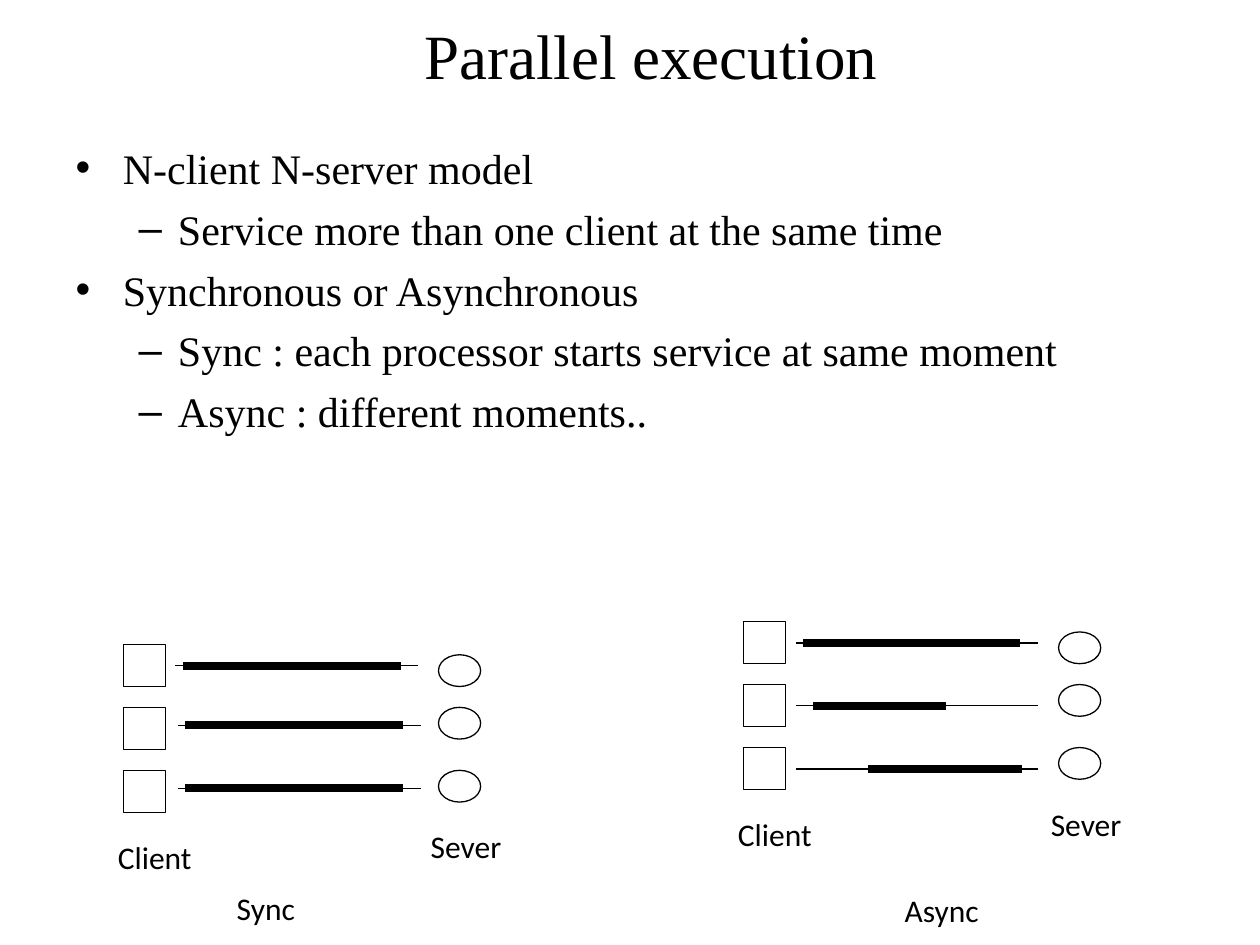
import pptx
import pptx.dml.color
import pptx.enum.shapes
import pptx.enum.text
import pptx.oxml.ns
import pptx.util
from lxml import etree

Cm, Pt = pptx.util.Cm, pptx.util.Pt
Shape = pptx.enum.shapes.MSO_SHAPE
BLACK = "000000"
SERIF, SANS = "Times New Roman", "Calibri"
PITCH = 1.27  # vertical distance between client rows, in cm

BULLETS = [
    (0, "N-client N-server model"),
    (1, "Service more than one client at the same time"),
    (0, "Synchronous or Asynchronous"),
    (1, "Sync : each processor starts service at same moment"),
    (1, "Async : different moments.."),
]

# Each row, relative to its diagram: line start, line height, busy from, busy to
SYNC_ROWS = [(1.06, 0.43, 1.27, 5.51), (1.12, 1.63, 1.32, 5.56), (1.12, 2.9, 1.32, 5.56)]
ASYNC_ROWS = [(1.06, 0.43, 1.27, 5.49), (1.06, 1.7, 1.47, 4.01), (1.06, 2.97, 2.59, 5.54)]


def color(value):
    return pptx.dml.color.RGBColor.from_string(value)


def format_para(para, font, size, space_before):
    para.space_before = Pt(space_before)
    for run in para.runs:
        run.font.name = font
        run.font.size = Pt(size)
        run.font.color.rgb = color(BLACK)


def place(shape, left, top, width, height):
    shape.left, shape.top = Cm(left), Cm(top)
    shape.width, shape.height = Cm(width), Cm(height)


def fill_title(title):
    place(title, 1.7, 0, 22.86, 2.2)
    title.text_frame.text = "Parallel execution"
    title.text_frame.auto_size = pptx.enum.text.MSO_AUTO_SIZE.NONE
    title.text_frame.vertical_anchor = pptx.enum.text.MSO_ANCHOR.MIDDLE
    format_para(title.text_frame.paragraphs[0], SERIF, 36, 0)


def fill_body(body):
    place(body, 1.27, 2.74, 22.86, 8.89)
    frame = body.text_frame
    frame.text = "\n".join(text for level, text in BULLETS)
    frame.auto_size = pptx.enum.text.MSO_AUTO_SIZE.NONE
    for para, (level, text) in zip(frame.paragraphs, BULLETS):
        para.level = level
        format_para(para, SERIF, 24, 6)


def add_outline(shapes, kind, left, top, width, height):
    shape = shapes.add_shape(kind, Cm(left), Cm(top), Cm(width), Cm(height))
    shape.shadow.inherit = False
    shape.fill.background()
    shape.line.color.rgb = color(BLACK)
    shape.line.width = Pt(0.75)


def add_line(shapes, start, end, height, weight):
    line = shapes.add_connector(pptx.enum.shapes.MSO_CONNECTOR.STRAIGHT,
                                Cm(start), Cm(height), Cm(end), Cm(height))
    line.line.color.rgb = color(BLACK)
    line.line.width = Pt(weight)
    properties = line._element.spPr
    properties.get_or_add_ln().set("cap", "sq")
    etree.SubElement(properties, pptx.oxml.ns.qn("a:effectLst"))


def add_label(shapes, text, left, top, width):
    box = shapes.add_textbox(Cm(left), Cm(top), Cm(width), Cm(1.02))
    frame = box.text_frame
    frame.text = text
    frame.word_wrap = False
    frame.auto_size = pptx.enum.text.MSO_AUTO_SIZE.SHAPE_TO_FIT_TEXT
    frame.vertical_anchor = pptx.enum.text.MSO_ANCHOR.MIDDLE
    frame.paragraphs[0].alignment = pptx.enum.text.PP_ALIGN.CENTER
    format_para(frame.paragraphs[0], SANS, 18, 11.2)


def add_diagram(slide, left, top, rows):
    shapes = slide.shapes.add_group_shape().shapes
    # Clients and servers
    for index, server_top in enumerate((0.21, PITCH, 2 * PITCH)):
        add_outline(shapes, Shape.RECTANGLE, left, top + index * PITCH, 0.85, 0.85)
        add_outline(shapes, Shape.OVAL, left + 6.35, top + server_top, 0.85, 0.64)
    # Time lines with their busy periods
    for start, height, busy_from, busy_to in rows:
        add_line(shapes, left + start, left + start + 4.87, top + height, 0.75)
        add_line(shapes, left + busy_from, left + busy_to, top + height, 4.5)
    add_label(shapes, "Sever", left + 5.89, top + 3.56, 2.03)
    add_label(shapes, "Client", left - 0.44, top + 3.78, 2.14)


def main():
    deck = pptx.Presentation()
    deck.slide_width, deck.slide_height = Cm(25.4), Cm(19.05)
    slide = deck.slides.add_slide(deck.slide_layouts[1])
    fill_title(slide.shapes.title)
    fill_body(slide.placeholders[1])
    add_diagram(slide, 14.99, 12.53, ASYNC_ROWS)
    add_diagram(slide, 2.49, 12.99, SYNC_ROWS)
    # Diagram captions
    add_label(slide.shapes, "Sync", 4.52, 17.79, 1.68)
    add_label(slide.shapes, "Async", 17.98, 17.83, 2.01)
    deck.save("out.pptx")


if __name__ == "__main__":
    main()
